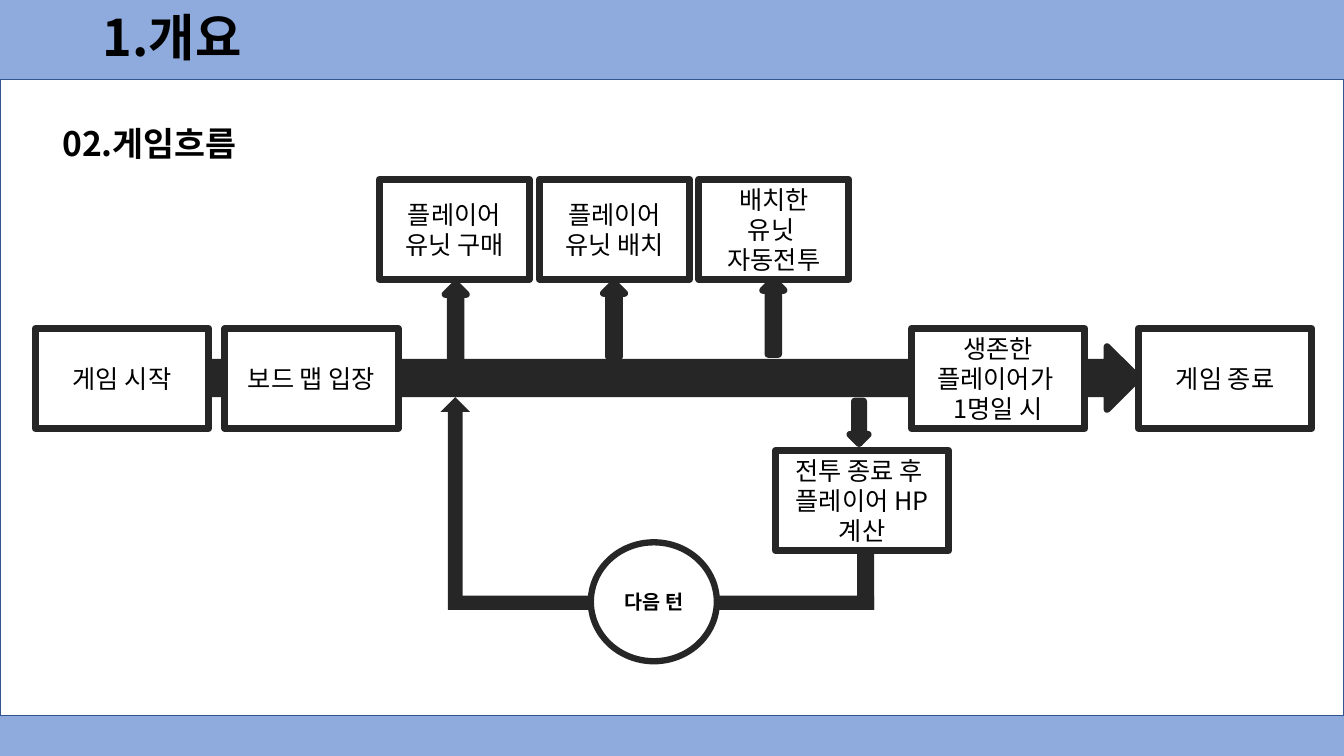
from dataclasses import dataclass

from lxml.etree import SubElement
from pptx import Presentation
from pptx.dml.color import RGBColor
from pptx.enum.shapes import MSO_SHAPE
from pptx.enum.text import MSO_ANCHOR, MSO_AUTO_SIZE, PP_ALIGN
from pptx.oxml.ns import qn
from pptx.util import Emu, Pt

PX = 9144  # 100 px to the inch
FONT = "Noto Sans CJK KR"
BLACK, WHITE, DARK = "000000", "FFFFFF", "262626"
BAND_BLUE, PANEL_EDGE = "8FAADC", "325491"
STEP_SIZE = (149, 99)
STAGE_SIZE = (172, 99)


@dataclass
class Part:
    """One filled shape of the flow, placed in px."""
    left: int
    top: int
    width: int
    height: int
    kind: MSO_SHAPE = MSO_SHAPE.RECTANGLE
    fill: str = DARK
    edge: str = DARK
    weight: float = 5
    rotation: int = 0
    text: str = ""
    size: int = 18
    bold: bool = False


def px(length: int) -> Emu:
    return Emu(length * PX)


def color(value: str) -> RGBColor:
    return RGBColor.from_string(value)


def style_text(frame, size: int, bold: bool, align: PP_ALIGN) -> None:
    for paragraph in frame.paragraphs:
        paragraph.alignment = align
        for run in paragraph.runs:
            font = run.font
            font.size, font.bold, font.name = Pt(size), bold, FONT
            font.color.rgb = color(BLACK)
            SubElement(run._r.get_or_add_rPr(), qn("a:ea"), typeface=FONT)


def draw(slide, part: Part) -> None:
    shape = slide.shapes.add_shape(
        part.kind, px(part.left), px(part.top), px(part.width), px(part.height))
    shape.shadow.inherit = False
    shape.rotation = part.rotation
    shape.fill.solid()
    shape.fill.fore_color.rgb = color(part.fill)
    if part.weight:
        shape.line.color.rgb = color(part.edge)
        shape.line.width = Pt(part.weight)
    else:
        shape.line.fill.background()
    if part.text:
        frame = shape.text_frame
        frame.text = part.text
        frame.word_wrap = True
        frame.vertical_anchor = MSO_ANCHOR.MIDDLE
        style_text(frame, part.size, part.bold, PP_ALIGN.CENTER)


def add_heading(slide, text: str, left: int, top: int, width: int, height: int, size: int):
    frame = slide.shapes.add_textbox(px(left), px(top), px(width), px(height)).text_frame
    frame.text = text
    frame.word_wrap = True
    style_text(frame, size, True, PP_ALIGN.LEFT)
    return frame


def step(left: int, text: str) -> Part:
    return Part(left, 178, *STEP_SIZE, fill=WHITE, text=text)


def stage(left: int, top: int, text: str) -> Part:
    return Part(left, top, *STAGE_SIZE, fill=WHITE, text=text)


def up_arrow(left: int, top: int) -> Part:
    return Part(left, top, 74, 21, MSO_SHAPE.RIGHT_ARROW, rotation=270)


# Parts from back to front
PARTS = [
    # White panel and main flow arrow
    Part(0, 79, 1333, 631, fill=WHITE, edge=PANEL_EDGE, weight=1),
    Part(184, 344, 945, 62, MSO_SHAPE.RIGHT_ARROW),
    # Steps of one turn
    up_arrow(415, 308),
    step(376, "플레이어 유닛 구매"),
    up_arrow(572, 307),
    step(535, "플레이어 유닛 배치"),
    up_arrow(730, 304),
    step(693, "배치한\n유닛 \n자동전투"),
    # Stages of the game
    stage(35, 326, "게임 시작"),
    stage(223, 326, "보드 맵 입장"),
    Part(831, 410, 42, 18, MSO_SHAPE.RIGHT_ARROW, rotation=90),
    stage(769, 447, "전투 종료 후 \n플레이어 HP 계산"),
    stage(1129, 326, "게임 종료"),
    stage(904, 326, "생존한\n플레이어가 \n1명일 시"),
    # Loop back to the next turn
    Part(437, 394, 29, 211, MSO_SHAPE.DOWN_ARROW, weight=0, rotation=180),
    Part(447, 591, 420, 14, weight=0),
    Part(828, 566, 61, 17, weight=0, rotation=90),
    Part(586, 538, 125, 118, MSO_SHAPE.OVAL, fill=WHITE, weight=4.5,
         text="다음 턴", size=14, bold=True),
]


def main() -> None:
    deck = Presentation()
    deck.slide_width, deck.slide_height = px(1333), px(750)
    slide = deck.slides.add_slide(deck.slide_layouts[6])
    slide.background.fill.solid()
    slide.background.fill.fore_color.rgb = color(BAND_BLUE)

    for part in PARTS:
        draw(slide, part)

    # Headings
    title = add_heading(slide, "1.개요", 92, 0, 1150, 79, 36)
    title.vertical_anchor = MSO_ANCHOR.MIDDLE
    title.paragraphs[0].line_spacing = 0.9
    section = add_heading(slide, "02.게임흐름", 52, 117, 1230, 52, 24)
    section.auto_size = MSO_AUTO_SIZE.SHAPE_TO_FIT_TEXT

    deck.save("out.pptx")


if __name__ == "__main__":
    main()
